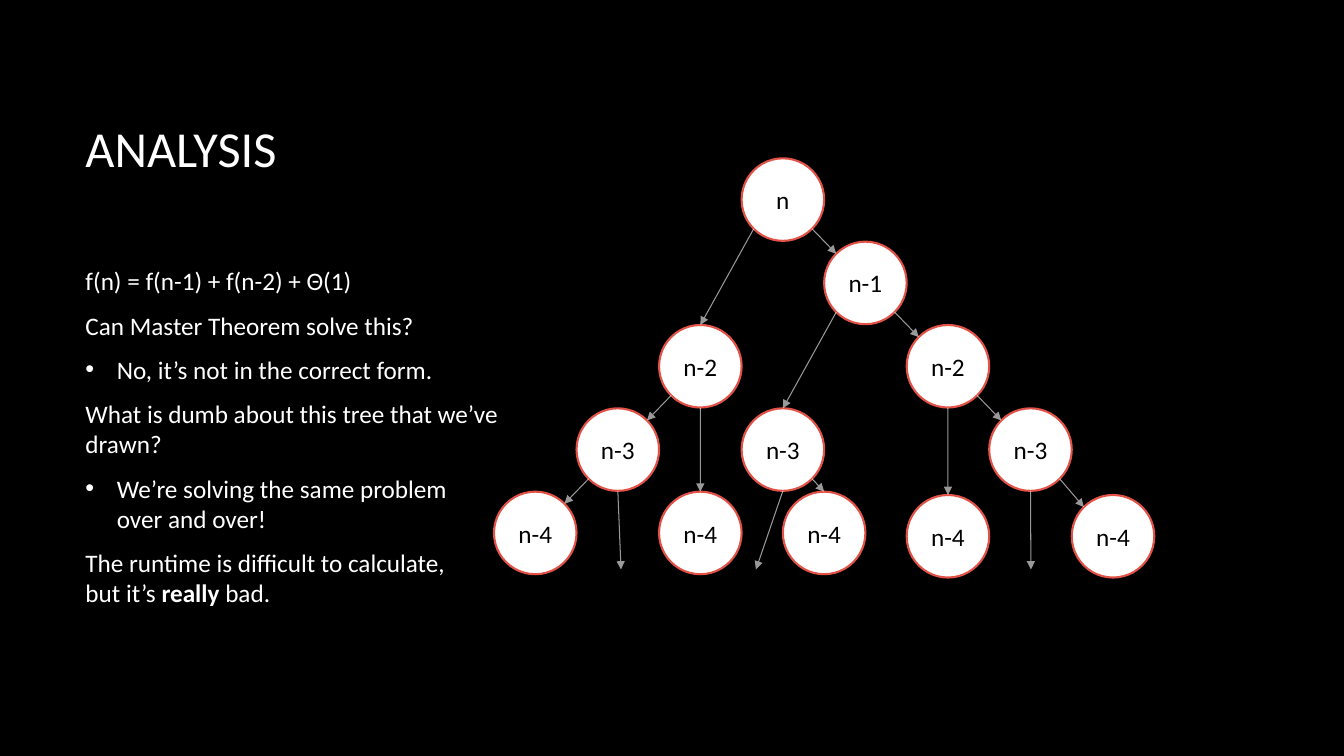
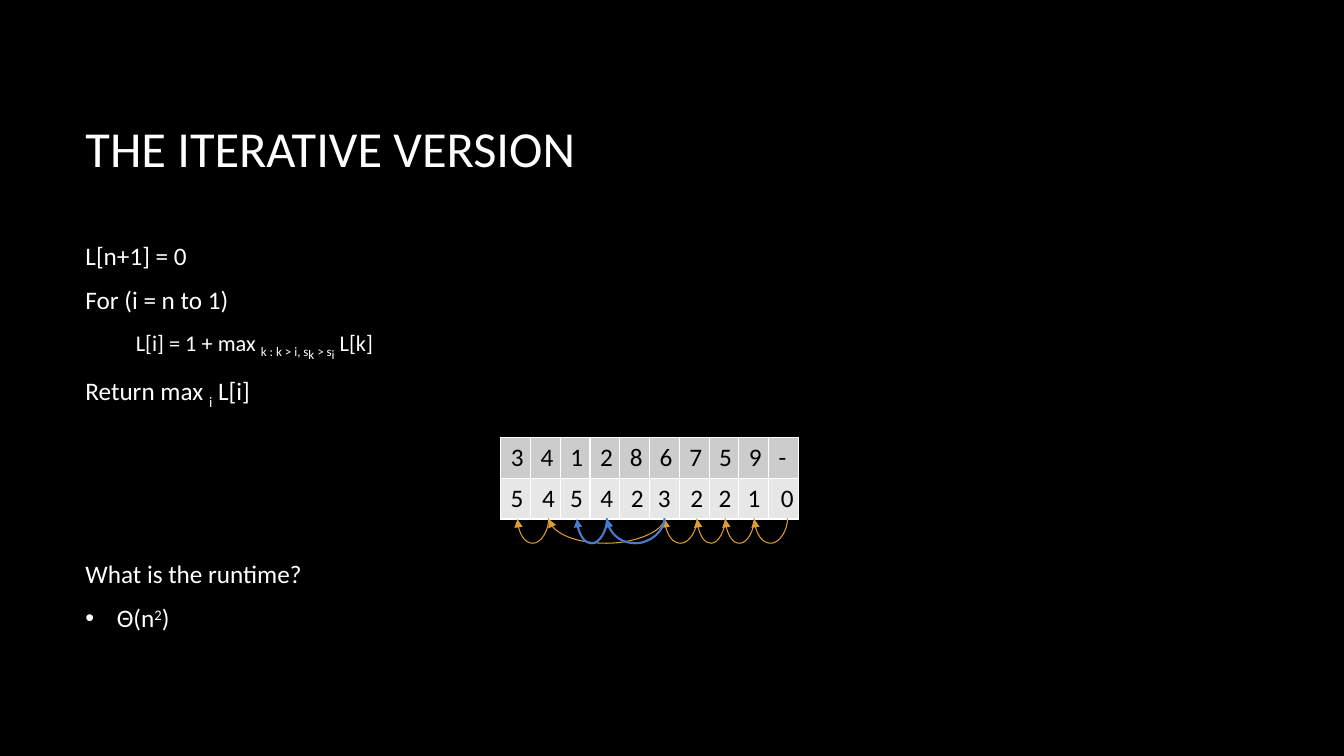
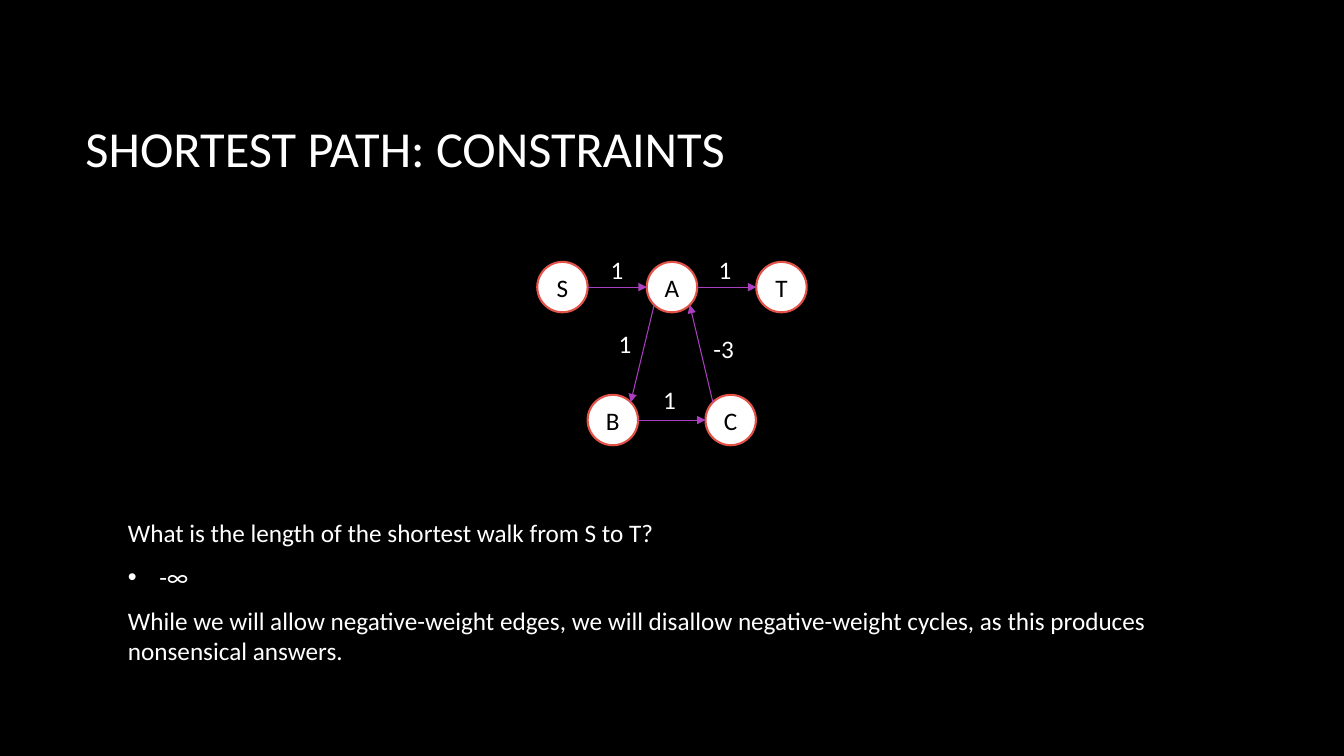
"""Build three algorithm slides: a recursion tree, an iterative table and a weighted graph."""
from dataclasses import dataclass
from math import sqrt

from lxml.etree import SubElement
from pptx import Presentation
from pptx.dml.color import RGBColor
from pptx.enum.shapes import MSO_CONNECTOR, MSO_SHAPE
from pptx.enum.text import MSO_ANCHOR, MSO_AUTO_SIZE, PP_ALIGN
from pptx.oxml.ns import qn
from pptx.util import Cm, Pt

COLORS = {
    "background": "000000",
    "text": "FFFFFF",
    "node_fill": "FFFFFF",
    "node_line": "E25247",
    "node_text": "000000",
    "tree_edge": "FFFFFF",
    "graph_edge": "AC3EC1",
    "arc": "DD9D31",
    "arc_highlight": "477BD1",
    "top_row": "CCCCCC",
    "bottom_row": "E7E7E7",
    "grid": "FFFFFF",
}
FONT = "Calibri"
TITLE_AREA = (1.9, 1.7, 28.14, 4.04)
BODY_AREA = (1.9, 5.94, 28.14, 10.13)
LOW_BODY_AREA = (2.97, 12.67, 27.94, 4.47)
DIAGONAL = sqrt(0.5)
SITES = {
    "top": (0, -1),
    "bottom": (0, 1),
    "left": (-1, 0),
    "right": (1, 0),
    "top left": (-DIAGONAL, -DIAGONAL),
    "top right": (DIAGONAL, -DIAGONAL),
    "bottom left": (-DIAGONAL, DIAGONAL),
    "bottom right": (DIAGONAL, DIAGONAL),
}


@dataclass(frozen=True)
class Span:
    text: str
    baseline: int = 0
    bold: bool = False


@dataclass(frozen=True)
class Para:
    spans: tuple[Span, ...]
    bullet: bool = False
    level: int = 0
    size: int = 18
    before: int = 0


@dataclass(frozen=True)
class Node:
    label: str
    left: float
    top: float
    size: float
    geometry: MSO_SHAPE = MSO_SHAPE.OVAL

    def site(self, name: str) -> tuple[float, float]:
        across, down = SITES[name]
        radius = self.size / 2
        return self.left + radius * (1 + across), self.top + radius * (1 + down)


@dataclass(frozen=True)
class Edge:
    start: str
    start_site: str
    end: str
    end_site: str


@dataclass(frozen=True)
class Arc:
    start: int
    end: int
    color: str = "arc"
    width: float = 0.75


def color(name: str) -> RGBColor:
    return RGBColor.from_string(COLORS[name])


def line_of(text: str, **options) -> Para:
    return Para((Span(text),), **options)


def set_font(paragraph, color_name: str, size: int = 18) -> None:
    font = paragraph.font
    font.name = FONT
    font.size = Pt(size)
    font.color.rgb = color(color_name)


def place(shape, area: tuple[float, float, float, float]) -> None:
    shape.left, shape.top, shape.width, shape.height = (Cm(length) for length in area)


def fill_paragraph(paragraph, para: Para) -> None:
    paragraph.level = para.level
    paragraph.space_before = Pt(para.before)
    paragraph.space_after = Pt(10)
    properties = paragraph._p.get_or_add_pPr()
    hanging = 0.79 if para.bullet else 0
    properties.set("marL", str(Cm(hanging + 1.27 * para.level)))
    properties.set("indent", str(Cm(-hanging)))
    if not para.bullet:
        SubElement(properties, qn("a:buNone"))
    set_font(paragraph, "text", para.size)
    for span in para.spans:
        for index, text in enumerate(span.text.split("\n")):
            if index:
                paragraph.add_line_break()
            run = paragraph.add_run()
            run.text = text
            if span.bold:
                run.font.bold = True
            if span.baseline:
                run._r.get_or_add_rPr().set("baseline", str(span.baseline * 1000))


def add_page(deck, title: str, paras: list[Para], body_area=BODY_AREA):
    page = deck.slides.add_slide(deck.slide_layouts[1])
    heading, body = page.placeholders
    for box, area in ((heading, TITLE_AREA), (body, body_area)):
        place(box, area)
        box.text_frame.vertical_anchor = MSO_ANCHOR.MIDDLE
        box.text_frame.auto_size = MSO_AUTO_SIZE.NONE
        box.text_frame.word_wrap = True
    heading.text_frame.text = title
    paragraph = heading.text_frame.paragraphs[0]
    paragraph.alignment = PP_ALIGN.LEFT
    set_font(paragraph, "text", 36)
    for index, para in enumerate(paras):
        frame = body.text_frame
        fill_paragraph(frame.add_paragraph() if index else frame.paragraphs[0], para)
    return page


def add_node(page, node: Node) -> None:
    shape = page.shapes.add_shape(
        node.geometry, Cm(node.left), Cm(node.top), Cm(node.size), Cm(node.size)
    )
    shape.shadow.inherit = False
    shape.fill.solid()
    shape.fill.fore_color.rgb = color("node_fill")
    shape.line.color.rgb = color("node_line")
    shape.line.width = Pt(1.5)
    frame = shape.text_frame
    frame.word_wrap = False
    frame.vertical_anchor = MSO_ANCHOR.MIDDLE
    frame.text = node.label
    frame.paragraphs[0].alignment = PP_ALIGN.CENTER
    set_font(frame.paragraphs[0], "node_text")


def style_arrow(arrow, color_name: str, width: float = 0.75, opacity: int = 100) -> None:
    arrow.line.color.rgb = color(color_name)
    arrow.line.width = Pt(width)
    properties = arrow._element.spPr
    outline = properties.find(qn("a:ln"))
    if opacity < 100:
        tint = outline.find(".//" + qn("a:srgbClr"))
        SubElement(tint, qn("a:alpha"), val=str(opacity * 1000))
    SubElement(outline, qn("a:tailEnd"), type="triangle")
    SubElement(properties, qn("a:effectLst"))


def add_arrow(page, start, end, color_name: str, opacity: int = 100) -> None:
    ends = (Cm(length) for length in (*start, *end))
    arrow = page.shapes.add_connector(MSO_CONNECTOR.STRAIGHT, *ends)
    style_arrow(arrow, color_name, opacity=opacity)


def add_network(page, nodes: dict[str, Node], edges: list[Edge], color_name: str,
                opacity: int = 100) -> None:
    for node in nodes.values():
        add_node(page, node)
    for edge in edges:
        start = nodes[edge.start].site(edge.start_site)
        end = nodes[edge.end].site(edge.end_site)
        add_arrow(page, start, end, color_name, opacity)


def add_label(page, text: str, left: float, top: float, color_name: str, width: float = 0.84):
    box = page.shapes.add_textbox(Cm(left), Cm(top), Cm(width), Cm(1.02))
    frame = box.text_frame
    frame.word_wrap = False
    frame.auto_size = MSO_AUTO_SIZE.SHAPE_TO_FIT_TEXT
    frame.text = text
    set_font(frame.paragraphs[0], color_name)
    return box


def add_arc(page, boxes: list, arc: Arc) -> None:
    start, end = boxes[arc.start], boxes[arc.end]
    arrow = page.shapes.add_connector(MSO_CONNECTOR.CURVE, 0, 0, 0, 0)
    arrow.begin_connect(start, 2)
    arrow.end_connect(end, 2)
    reach = end.left - start.left
    thickness, dip = Cm(0.02), Cm(0.63)
    middle = start.left + (start.width + reach) // 2
    bottom = start.top + start.height
    arrow.left, arrow.top = middle - thickness // 2, bottom + (thickness - reach) // 2
    arrow.width, arrow.height = thickness, reach
    properties = arrow._element.spPr
    transform = properties.find(qn("a:xfrm"))
    transform.set("rot", str(270 * 60000))
    transform.set("flipH", "1")
    guides = properties.find(".//" + qn("a:avLst"))
    SubElement(guides, qn("a:gd"), name="adj1", fmla=f"val {round(dip / thickness * 100000)}")
    style_arrow(arrow, arc.color, arc.width)


def add_grid(page, values: str) -> None:
    columns = len(values)
    frame = page.shapes.add_table(2, columns, Cm(12.62), Cm(11.02), Cm(0.75 * columns), Cm(2.06))
    table = frame.table
    table.first_row = table.horz_banding = False
    for row_index, fill_name in enumerate(("top_row", "bottom_row")):
        for column in range(columns):
            cell = table.cell(row_index, column)
            properties = cell._tc.get_or_add_tcPr()
            for side in ("lnL", "lnR", "lnT", "lnB"):
                border = SubElement(properties, qn(f"a:{side}"), w=str(Pt(1)))
                paint = SubElement(border, qn("a:solidFill"))
                SubElement(paint, qn("a:srgbClr"), val=COLORS["grid"])
            cell.fill.solid()
            cell.fill.fore_color.rgb = color(fill_name)
            if row_index == 0:
                cell.text = values[column]
            set_font(cell.text_frame.paragraphs[0], "node_text")


def build_analysis(deck) -> None:
    page = add_page(deck, "ANALYSIS", [
        line_of("f(n) = f(n-1) + f(n-2) + Θ(1)"),
        line_of("Can Master Theorem solve this?"),
        line_of("No, it’s not in the correct form.", bullet=True),
        line_of("What is dumb about this tree that we’ve\ndrawn?"),
        line_of("We’re solving the same problem\nover and over!", bullet=True),
        Para((Span("The runtime is difficult to calculate,\nbut it’s "),
              Span("really", bold=True), Span(" bad."))),
    ])
    grid_places = {
        "root": ("n", 3, 0),
        "right": ("n-1", 4, 1),
        "left": ("n-2", 2, 2),
        "right right": ("n-2", 5, 2),
        "left left": ("n-3", 1, 3),
        "right left": ("n-3", 3, 3),
        "far right": ("n-3", 6, 3),
        "leaf 1": ("n-4", 0, 4),
        "leaf 2": ("n-4", 2, 4),
        "leaf 3": ("n-4", 3.5, 4),
        "leaf 4": ("n-4", 5, 4.04),
        "leaf 5": ("n-4", 7, 4.04),
    }
    nodes = {
        key: Node(label, 12.45 + 2.08 * column, 3.99 + 2.1 * row, 2.08)
        for key, (label, column, row) in grid_places.items()
    }
    add_network(page, nodes, [
        Edge("root", "bottom right", "right", "top left"),
        Edge("root", "bottom left", "left", "top"),
        Edge("left", "bottom left", "left left", "top right"),
        Edge("left left", "bottom left", "leaf 1", "top right"),
        Edge("left", "bottom", "leaf 2", "top"),
        Edge("right", "bottom left", "right left", "top"),
        Edge("right left", "bottom right", "leaf 3", "top"),
        Edge("right", "bottom right", "right right", "top left"),
        Edge("right right", "bottom right", "far right", "top left"),
        Edge("right right", "bottom", "leaf 4", "top"),
        Edge("far right", "bottom right", "leaf 5", "top left"),
    ], "tree_edge", 60)
    for key, end_x in (("left left", 15.65), ("right left", 19.05), ("far right", 25.98)):
        add_arrow(page, nodes[key].site("bottom"), (end_x, 14.35), "tree_edge", 60)


def build_iterative(deck) -> None:
    page = add_page(deck, "THE ITERATIVE VERSION", [
        line_of("L[n+1] = 0"),
        line_of("For (i = n to 1)"),
        Para((Span("L[i] = 1 + max "), Span("k : k > i, s", -25), Span("k ", -35),
              Span("> s", -25), Span("i", -35), Span(" L[k]")), level=1, size=16),
        Para((Span("Return max "), Span("i", -25), Span(" L[i]"))),
        line_of("What is the runtime?", before=96),
        Para((Span("Θ(n"), Span("2", 30), Span(")")), bullet=True),
    ])
    add_grid(page, "341286759-")
    lefts = (12.62, 13.41, 14.12, 14.88, 15.65, 16.33, 17.15, 17.86, 18.59, 19.43)
    boxes = [
        add_label(page, value, left, 12.04, "node_text")
        for value, left in zip("5454232210", lefts)
    ]
    arcs = [Arc(0, 1), Arc(1, 5)] + [Arc(index, index + 1) for index in range(5, 9)]
    arcs += [Arc(start, end, "arc_highlight", 1.5) for start, end in ((2, 3), (3, 5))]
    for arc in arcs:
        add_arc(page, boxes, arc)


def build_shortest(deck) -> None:
    page = add_page(deck, "SHORTEST PATH: CONSTRAINTS", [
        line_of("What is the length of the shortest walk from S to T?"),
        line_of("-∞", bullet=True),
        line_of("While we will allow negative-weight edges, we will disallow "
                "negative-weight cycles, as this produces nonsensical answers."),
    ], LOW_BODY_AREA)
    corners = {"S": (13.54, 6.6), "A": (16.3, 6.6), "T": (19.06, 6.6),
               "B": (14.81, 9.95), "C": (17.78, 9.95)}
    nodes = {
        label: Node(label, left, top, 1.27, MSO_SHAPE.FLOWCHART_CONNECTOR)
        for label, (left, top) in corners.items()
    }
    add_network(page, nodes, [
        Edge("S", "right", "A", "left"),
        Edge("A", "right", "T", "left"),
        Edge("A", "bottom left", "B", "top right"),
        Edge("B", "right", "C", "left"),
        Edge("C", "top left", "A", "bottom right"),
    ], "graph_edge")
    for left, top in ((15.14, 6.29), (17.86, 6.28), (15.34, 8.15), (16.46, 9.55)):
        add_label(page, "1", left, top, "text")
    add_label(page, "-3", 17.73, 8.28, "text", 1.09)


def main() -> None:
    deck = Presentation()
    deck.slide_width, deck.slide_height = Cm(33.87), Cm(19.05)
    backdrop = deck.slide_master.background.fill
    backdrop.solid()
    backdrop.fore_color.rgb = color("background")
    build_analysis(deck)
    build_iterative(deck)
    build_shortest(deck)
    deck.save("out.pptx")


if __name__ == "__main__":
    main()
